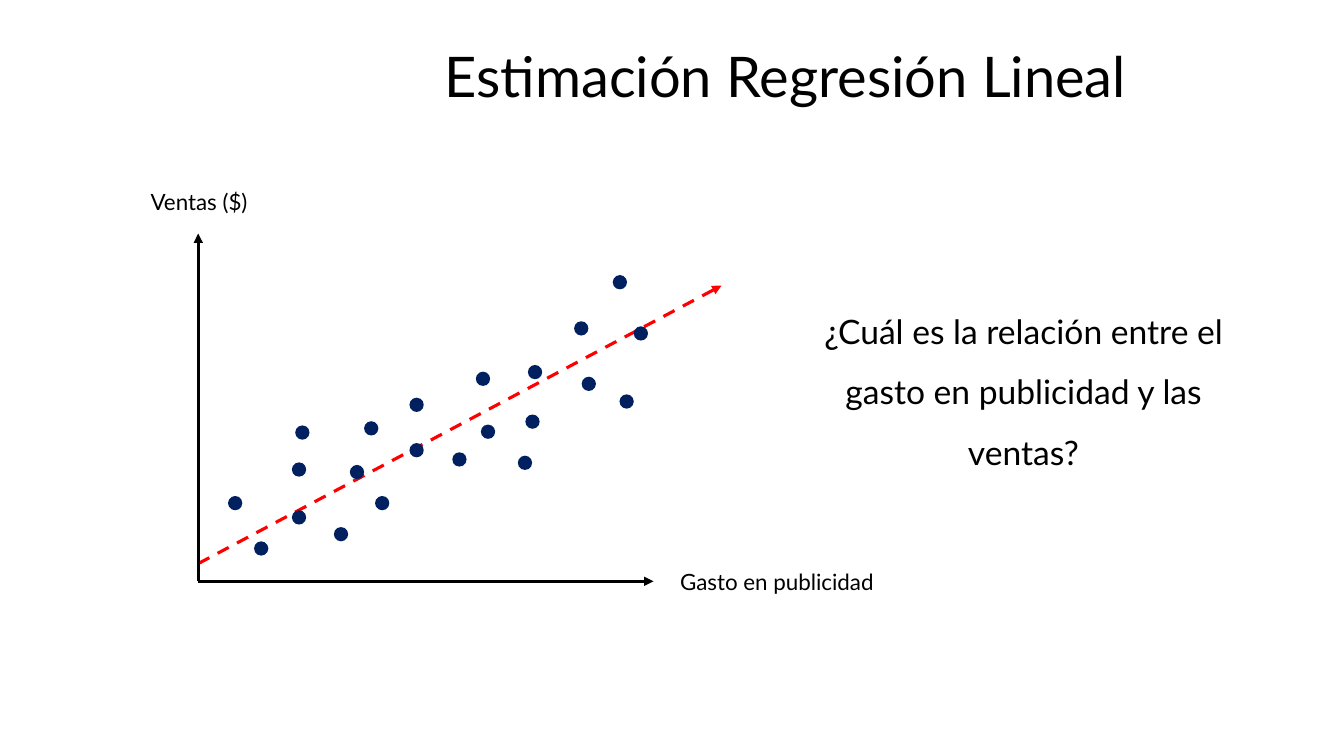
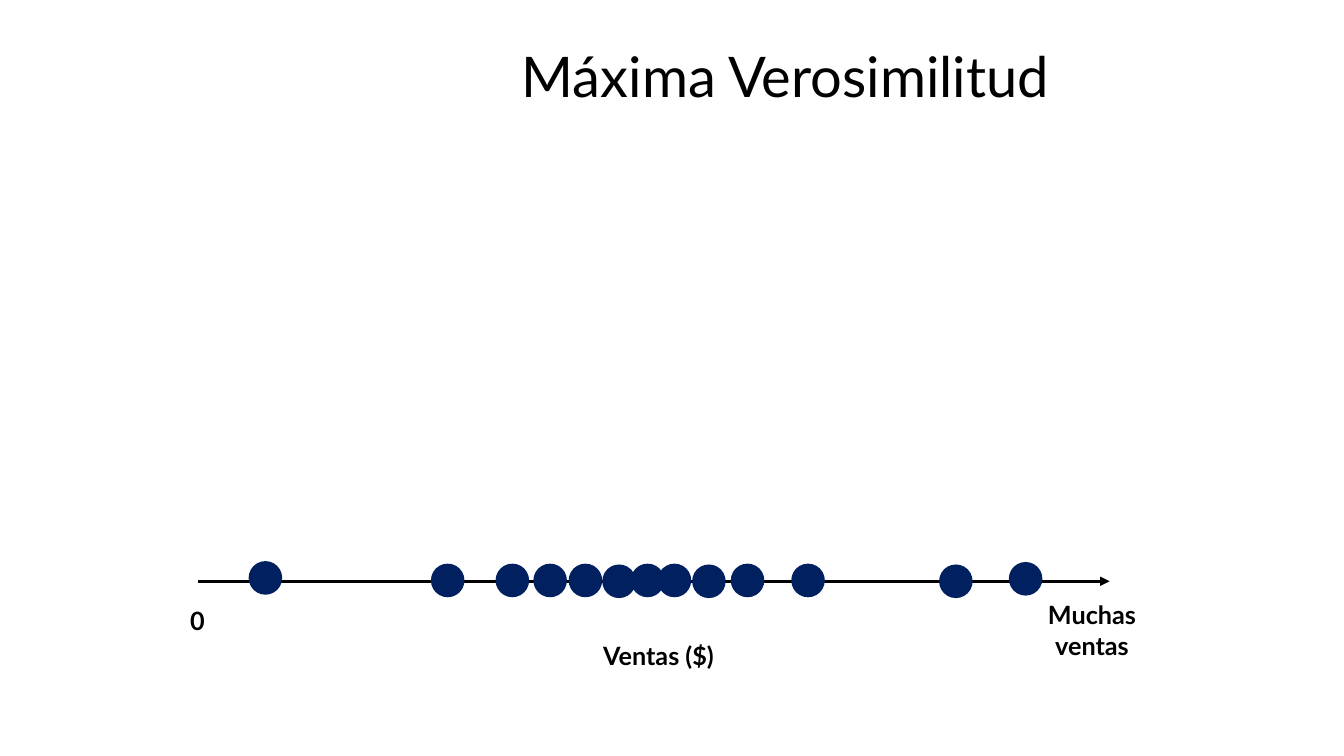
from typing import Any, NamedTuple

from lxml import etree
from pptx import Presentation
from pptx.dml.color import RGBColor
from pptx.enum.dml import MSO_LINE
from pptx.enum.shapes import MSO_CONNECTOR, MSO_SHAPE
from pptx.enum.text import MSO_ANCHOR, MSO_AUTO_SIZE, PP_ALIGN
from pptx.oxml.ns import qn
from pptx.util import Inches, Pt

OVAL = MSO_SHAPE.OVAL
LINE = MSO_CONNECTOR.STRAIGHT
DASH = MSO_LINE.DASH

WIDTH, HEIGHT = Inches(13.33), Inches(7.5)
COLS, ROWS = 16, 9
TITLE_ONLY = 5
FONT = "Lato"
HEX = {"ink": "000000", "dot": "002060", "trend": "FF0000"}
FRAME = {
    "word_wrap": True,
    "auto_size": MSO_AUTO_SIZE.NONE,
    "vertical_anchor": MSO_ANCHOR.TOP,
}


class Box(NamedTuple):
    col: float
    row: float
    cols: float
    rows: float


class Spot(NamedTuple):
    col: float
    row: float


class Arrow(NamedTuple):
    start: Spot
    end: Spot
    tint: str = "ink"
    dash: bool = False


class Label(NamedTuple):
    text: str
    box: Box
    size: int
    bold: bool = False
    space: float = 1.0


class Page(NamedTuple):
    title: str
    arrows: list[Arrow]
    spots: list[Spot]
    dot: float
    labels: list[Label]


TITLE_BOX = Box(3.11, 0.44, 12.48, 0.92)
BASE = 6.92
ZERO = Spot(2.36, BASE)

CLOUD = [
    Spot(2.8, 5.99), Spot(3.11, 6.53), Spot(3.56, 6.16), Spot(4.06, 6.36),
    Spot(3.56, 5.59), Spot(4.25, 5.62), Spot(4.55, 5.99), Spot(4.42, 5.1),
    Spot(4.96, 5.36), Spot(5.81, 5.14), Spot(4.96, 4.82), Spot(5.47, 5.47),
    Spot(6.34, 5.02), Spot(5.75, 4.51), Spot(6.37, 4.43), Spot(7.01, 4.57),
    Spot(7.46, 4.78), Spot(6.92, 3.91), Spot(7.38, 3.36), Spot(7.63, 3.97),
    Spot(6.25, 5.51), Spot(3.6, 5.15),
]

SALES = [
    Spot(3.16, 6.88), Spot(5.33, 6.91), Spot(6.1, 6.91), Spot(6.55, 6.91),
    Spot(6.97, 6.91), Spot(7.37, 6.92), Spot(7.71, 6.91), Spot(8.03, 6.91),
    Spot(8.44, 6.92), Spot(8.9, 6.91), Spot(9.62, 6.91), Spot(11.38, 6.92),
    Spot(12.21, 6.89),
]

PAGES = [
    Page(
        "Estimación Regresión Lineal",
        [
            Arrow(Spot(ZERO.col, 6.71), Spot(8.59, 3.4), "trend", True),
            Arrow(ZERO, Spot(ZERO.col, 2.78)),
            Arrow(ZERO, Spot(7.78, BASE)),
        ],
        CLOUD,
        0.17,
        [
            Label(
                "¿Cuál es la relación entre el gasto en publicidad y las ventas?",
                Box(9.67, 3.4, 5.03, 2.21), 24, space=1.5,
            ),
            Label("Gasto en publicidad", Box(7.57, 6.71, 3.36, 0.44), 16),
            Label("Ventas ($)", Box(1.26, 2.18, 2.22, 0.44), 16),
        ],
    ),
    Page(
        "Máxima Verosimilitud",
        [Arrow(ZERO, Spot(13.21, BASE))],
        SALES,
        0.4,
        [
            Label("Ventas ($)", Box(6.73, 7.56, 2.22, 0.48), 18, True),
            Label("0", Box(1.24, 7.15, 2.22, 0.48), 18, True),
            Label("Muchas ventas", Box(12, 7.08, 2, 0.85), 18, True),
        ],
    ),
]


def across(cols: float) -> int:
    return round(WIDTH * cols / COLS)


def down(rows: float) -> int:
    return round(HEIGHT * rows / ROWS)


def place(box: Box) -> tuple[int, int, int, int]:
    return across(box.col), down(box.row), across(box.cols), down(box.rows)


def tone(name: str) -> RGBColor:
    return RGBColor.from_string(HEX[name])


def apply(item: Any, look: dict[str, Any]) -> None:
    for name, value in look.items():
        setattr(item, name, value)


def write(shape: Any, label: Label) -> None:
    spots = zip(("left", "top", "width", "height"), place(label.box))
    apply(shape, dict(spots))
    frame = shape.text_frame
    apply(frame, FRAME)
    para = frame.paragraphs[0]
    apply(para, {"alignment": PP_ALIGN.CENTER, "line_spacing": label.space})
    run = para.add_run()
    run.text = label.text
    apply(run.font, {"name": FONT, "size": Pt(label.size), "bold": label.bold})
    run.font.color.rgb = tone("ink")


def draw_arrow(slide: Any, arrow: Arrow) -> None:
    start, end = arrow.start, arrow.end
    link = slide.shapes.add_connector(
        LINE, across(start.col), down(start.row), across(end.col), down(end.row)
    )
    link.line.width = Pt(2.25)
    link.line.color.rgb = tone(arrow.tint)
    if arrow.dash:
        link.line.dash_style = DASH
    props = link.element.spPr
    etree.SubElement(props.find(qn("a:ln")), qn("a:tailEnd"), type="triangle")
    etree.SubElement(props, qn("a:effectLst"))


def draw_dot(slide: Any, spot: Spot, size: float) -> None:
    box = Box(spot.col - size / 2, spot.row - size / 2, size, size)
    dot = slide.shapes.add_shape(OVAL, *place(box))
    dot.shadow.inherit = False
    dot.fill.solid()
    dot.fill.fore_color.rgb = tone("dot")
    dot.line.fill.background()


def draw_page(deck: Any, page: Page) -> None:
    slide = deck.slides.add_slide(deck.slide_layouts[TITLE_ONLY])
    write(slide.shapes.title, Label(page.title, TITLE_BOX, 40))
    for arrow in page.arrows:
        draw_arrow(slide, arrow)
    for spot in page.spots:
        draw_dot(slide, spot, page.dot)
    for label in page.labels:
        write(slide.shapes.add_textbox(*place(label.box)), label)


def main() -> None:
    deck = Presentation()
    apply(deck, {"slide_width": WIDTH, "slide_height": HEIGHT})
    for page in PAGES:
        draw_page(deck, page)
    deck.save("out.pptx")


if __name__ == "__main__":
    main()
